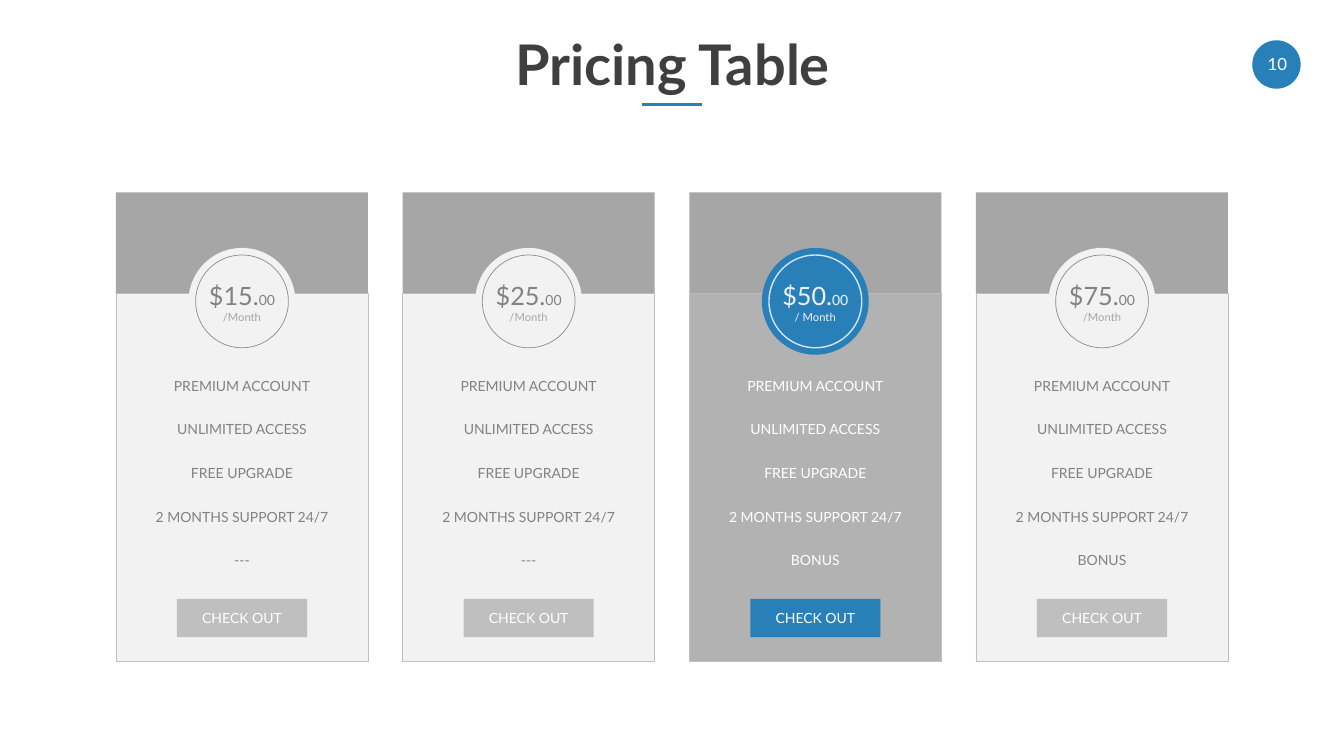
from lxml import etree
from pptx import Presentation
from pptx.dml.color import RGBColor
from pptx.enum import shapes, text
from pptx.oxml.ns import qn
from pptx.util import Inches, Pt

COLOURS = {
    "blue": "2980B9", "pale blue": "D1E6F5", "title": "3F3F3F", "white": "FFFFFF",
    "panel": "F2F2F2", "dark panel": "B2B2B2", "header": "A6A6A6",
    "border": "BFBFBF", "ring": "8C8C8C", "grey text": "828282",
}
FEATURES = ["PREMIUM ACCOUNT", "UNLIMITED ACCESS", "FREE UPGRADE", "2 MONTHS SUPPORT 24/7"]
PLANS = [
    {"price": "$15.", "period": "/Month", "extra": "---"},
    {"price": "$25.", "period": "/Month", "extra": "---"},
    {"price": "$50.", "period": "/ Month", "extra": "BONUS", "featured": True},
    {"price": "$75.", "period": "/Month", "extra": "BONUS"},
]
NORMAL = {"body": "panel", "badge": "panel", "ring": "ring", "ring width": 0.5,
          "price": "grey text", "period": "header", "feature": "grey text", "button": "border"}
FEATURED = {"body": "dark panel", "badge": "blue", "ring": "pale blue", "ring width": 1,
            "price": "panel", "period": "panel", "feature": "white", "button": "blue"}

CARD_LEFT, CARD_TOP, CARD_WIDTH = 1.15, 1.91, 2.5
CARD_PITCH = 8.53 / 3
HEADER_HEIGHT, BODY_HEIGHT = 1, 3.65
BADGE_MIDDLE, BADGE_SIZE, RING_SIZE = 2.99, 1.06, 0.92
FEATURE_TOP, FEATURE_PITCH, FEATURE_HEIGHT = 3.69, 0.433, 0.27

deck = Presentation()
deck.slide_width, deck.slide_height = Inches(13.33), Inches(7.5)
page = deck.slides.add_slide(deck.slide_layouts[6])


def colour(name):
    return RGBColor.from_string(COLOURS[name])


def add_panel(kind, left, top, width, height, fill, line=None, line_width=0.5):
    panel = page.shapes.add_shape(kind, Inches(left), Inches(top), Inches(width), Inches(height))
    panel.shadow.inherit = False
    panel.fill.solid()
    panel.fill.fore_color.rgb = colour(fill)
    if line:
        panel.line.color.rgb = colour(line)
        panel.line.width = Pt(line_width)
    else:
        panel.line.fill.background()
    return panel


def add_rect(*place, **style):
    return add_panel(shapes.MSO_SHAPE.RECTANGLE, *place, **style)


def add_circle(centre, middle, size, **style):
    return add_panel(shapes.MSO_SHAPE.OVAL, centre - size / 2, middle - size / 2, size, size, **style)


def add_box(left, top, width, height):
    return page.shapes.add_textbox(Inches(left), Inches(top), Inches(width), Inches(height))


def write(shape, *lines, bold=False, spacing=None):
    """Fill a shape with centred lines, each a list of (wording, size, colour) spans."""
    frame = shape.text_frame
    frame.word_wrap = True
    frame.vertical_anchor = text.MSO_ANCHOR.MIDDLE
    for number, line in enumerate(lines):
        para = frame.add_paragraph() if number else frame.paragraphs[0]
        para.alignment = text.PP_ALIGN.CENTER
        if spacing:
            para.line_spacing = spacing
        for wording, size, tint in line:
            span = para.add_run()
            span.text = wording
            span.font.name = "Lato"
            span.font.size = Pt(size)
            span.font.bold = bold
            span.font.color.rgb = colour(tint)


def add_heading():
    add_circle(12.66, 0.64, 0.48, fill="blue")
    rule = page.shapes.add_connector(shapes.MSO_CONNECTOR.STRAIGHT,
                                     Inches(6.37), Inches(1.04), Inches(6.96), Inches(1.04))
    rule.line.color.rgb = colour("blue")
    rule.line.width = Pt(2)
    etree.SubElement(rule._element.spPr, qn("a:effectLst"))
    write(add_box(0.92, 0.2, 11.5, 0.94), [("Pricing Table", 40, "title")], bold=True, spacing=0.9)
    write(add_box(12.32, 0.43, 0.7, 0.4), [("10", 12, "white")])


def add_card(left, plan):
    look = FEATURED if plan.get("featured") else NORMAL
    centre = left + CARD_WIDTH / 2
    add_rect(left, CARD_TOP + HEADER_HEIGHT, CARD_WIDTH, BODY_HEIGHT, fill=look["body"], line="border")
    add_rect(left, CARD_TOP, CARD_WIDTH, HEADER_HEIGHT, fill="header")
    add_circle(centre, BADGE_MIDDLE, BADGE_SIZE, fill=look["badge"])
    add_circle(centre, BADGE_MIDDLE, RING_SIZE, fill=look["badge"],
               line=look["ring"], line_width=look["ring width"])
    for row, feature in enumerate(FEATURES + [plan["extra"]]):
        box = add_box(left, FEATURE_TOP + row * FEATURE_PITCH, CARD_WIDTH, FEATURE_HEIGHT)
        write(box, [(feature, 10, look["feature"])])
    write(add_box(centre - 0.6, 2.73, 1.2, 0.54),
          [(plan["price"], 18, look["price"]), ("00", 10, look["price"])],
          [(plan["period"], 8, look["period"])])
    button = add_rect(centre - 0.645, 5.94, 1.29, 0.38, fill=look["button"])
    write(button, [("CHECK OUT", 10, "white")])


add_heading()
for column, plan in enumerate(PLANS):
    add_card(CARD_LEFT + column * CARD_PITCH, plan)
deck.save("out.pptx")
